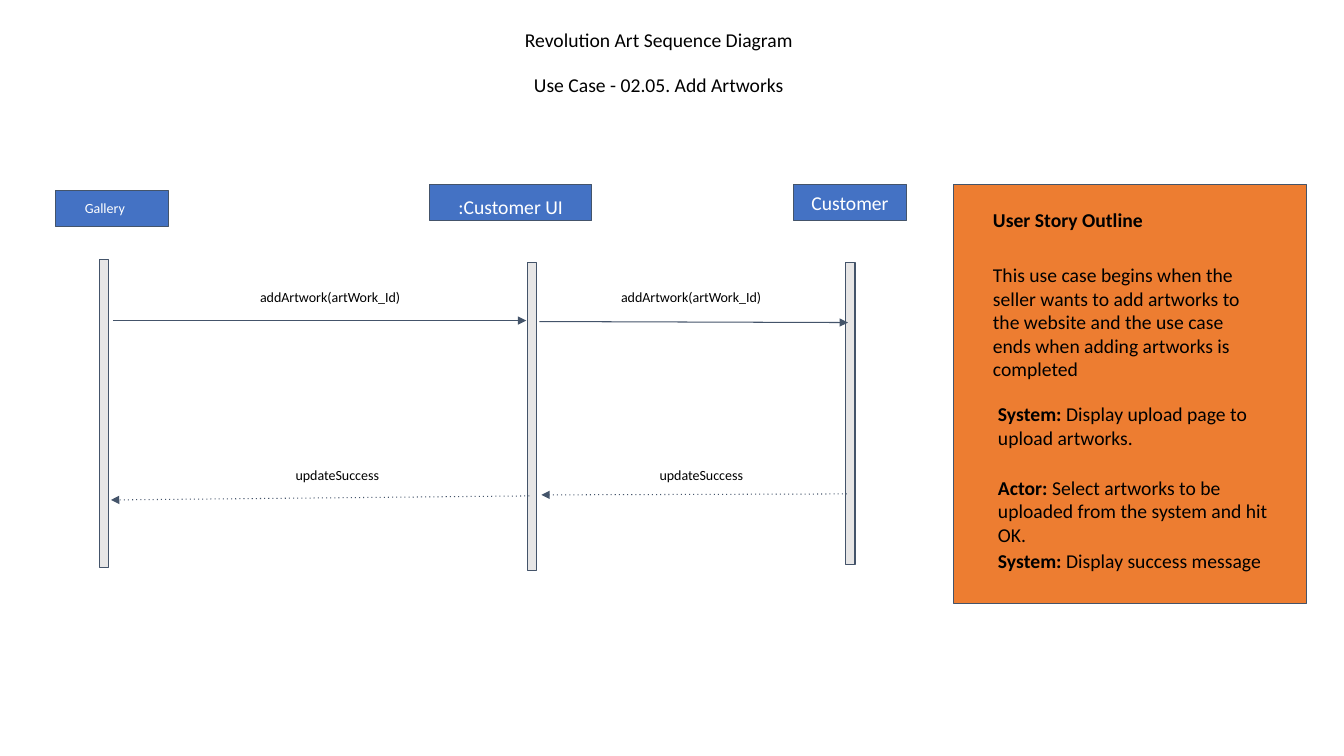
from dataclasses import dataclass

import pptx
import pptx.dml.color
import pptx.enum.shapes
import pptx.enum.text
import pptx.oxml.ns
import pptx.util
from lxml import etree

PX = 9144  # EMU per px, 100 px to the inch


@dataclass(frozen=True)
class Theme:
    font: str = "Calibri"
    black: str = "000000"
    white: str = "FFFFFF"
    blue: str = "4472C4"
    orange: str = "ED7D31"
    grey: str = "E7E6E6"
    slate: str = "44546A"
    body: int = 14
    small: int = 10
    line: float = 0.75


@dataclass(frozen=True)
class Box:
    left: int
    top: int
    width: int
    height: int

    def emu(self) -> list[int]:
        return [v * PX for v in (self.left, self.top, self.width, self.height)]


@dataclass(frozen=True)
class Participant:
    name: str
    head: Box
    label: Box
    lifeline: Box
    size: int


@dataclass(frozen=True)
class Message:
    name: str
    label: Box
    start: tuple[int, int]
    end: tuple[int, int]
    reply: bool = False


@dataclass(frozen=True)
class StoryPart:
    box: Box
    bold: str
    plain: str


THEME = Theme()
CENTER = pptx.enum.text.PP_ALIGN.CENTER
LEFT = pptx.enum.text.PP_ALIGN.LEFT

HEADINGS = ["Revolution Art Sequence Diagram", "Use Case - 02.05. Add Artworks"]
STORY_PANEL = Box(946, 183, 350, 416)

PARTICIPANTS = [
    Participant("Gallery", Box(55, 189, 112, 36), Box(48, 188, 112, 37),
                Box(99, 257, 9, 306), THEME.small),
    Participant(":Customer UI", Box(426, 183, 161, 36), Box(426, 183, 161, 44),
                Box(523, 260, 9, 306), THEME.body),
    Participant("Customer", Box(787, 183, 112, 36), Box(787, 179, 112, 44),
                Box(839, 260, 9, 300), THEME.body),
]

MESSAGES = [
    Message("addArtwork(artWork_Id)", Box(236, 276, 183, 37), (112, 318), (522, 318)),
    Message("addArtwork(artWork_Id)", Box(594, 276, 183, 37), (535, 319), (841, 320)),
    Message("updateSuccess", Box(604, 453, 183, 37), (840, 490), (537, 491), True),
    Message("updateSuccess", Box(243, 453, 183, 37), (525, 492), (110, 496), True),
]

STORY = [
    StoryPart(Box(975, 196, 321, 44), "User Story Outline", ""),
    StoryPart(Box(975, 251, 270, 138), "",
              "This use case begins when the seller wants to add artworks to the "
              "website and the use case ends when adding artworks is completed"),
    StoryPart(Box(980, 389, 306, 67), "System:", " Display upload page to upload artworks."),
    StoryPart(Box(980, 462, 306, 91), "Actor: ",
              "Select artworks to be uploaded from the system and hit OK."),
    StoryPart(Box(980, 535, 306, 44), "System: ", "Display success message"),
]


def rgb(color: str) -> pptx.dml.color.RGBColor:
    return pptx.dml.color.RGBColor.from_string(color)


def write(shape, texts: list[tuple[str, bool]], size: int, color: str, align) -> None:
    """Fill a box with one paragraph of (text, bold) runs."""
    frame = shape.text_frame
    frame.word_wrap = True
    frame.auto_size = pptx.enum.text.MSO_AUTO_SIZE.NONE
    frame.vertical_anchor = pptx.enum.text.MSO_ANCHOR.TOP
    frame.margin_left = frame.margin_right = 10 * PX
    frame.margin_top = frame.margin_bottom = 10 * PX
    paragraph = frame.paragraphs[0]
    paragraph.alignment = align
    paragraph.space_before = pptx.util.Pt(0)
    for text, bold in texts:
        if not text:
            continue
        run = paragraph.add_run()
        run.text = text
        run.font.name = THEME.font
        run.font.size = pptx.util.Pt(size)
        run.font.bold = bold
        run.font.color.rgb = rgb(color)


def add_label(slide, box: Box, text: str, size: int, color: str) -> None:
    write(slide.shapes.add_textbox(*box.emu()), [(text, False)], size, color, CENTER)


def add_block(slide, box: Box, fill: str) -> None:
    block = slide.shapes.add_shape(pptx.enum.shapes.MSO_SHAPE.RECTANGLE, *box.emu())
    block.shadow.inherit = False
    block.fill.solid()
    block.fill.fore_color.rgb = rgb(fill)
    block.line.color.rgb = rgb(THEME.slate)
    block.line.width = pptx.util.Pt(THEME.line)


def add_arrow(slide, message: Message) -> None:
    ends = [v * PX for v in message.start + message.end]
    arrow = slide.shapes.add_connector(pptx.enum.shapes.MSO_CONNECTOR.STRAIGHT, *ends)
    arrow.line.color.rgb = rgb(THEME.slate)
    arrow.line.width = pptx.util.Pt(THEME.line)
    qn = pptx.oxml.ns.qn
    properties = arrow.line._get_or_add_ln()
    if message.reply:
        etree.SubElement(properties, qn("a:prstDash"), val="dot")
    etree.SubElement(properties, qn("a:tailEnd"), type="triangle")
    etree.SubElement(properties.getparent(), qn("a:effectLst"))


def main() -> None:
    deck = pptx.Presentation()
    deck.slide_width, deck.slide_height = 1333 * PX, 750 * PX
    slide = deck.slides.add_slide(deck.slide_layouts[0])

    # Title and subtitle
    for row, (holder, heading) in enumerate(zip(slide.placeholders, HEADINGS)):
        place = Box(369, 18 + 44 * row, 569, 44)
        holder.left, holder.top, holder.width, holder.height = place.emu()
        write(holder, [(heading, False)], THEME.body, THEME.black, CENTER)

    # Participants with their lifelines
    for participant in PARTICIPANTS:
        add_block(slide, participant.head, THEME.blue)
        add_block(slide, participant.lifeline, THEME.grey)
        add_label(slide, participant.label, participant.name, participant.size, THEME.white)

    # Messages and replies
    for message in MESSAGES:
        add_arrow(slide, message)
        add_label(slide, message.label, message.name, THEME.small, THEME.black)

    # User story
    add_block(slide, STORY_PANEL, THEME.orange)
    for part in STORY:
        write(slide.shapes.add_textbox(*part.box.emu()),
              [(part.bold, True), (part.plain, False)], THEME.body, THEME.black, LEFT)

    deck.save("out.pptx")


if __name__ == "__main__":
    main()
